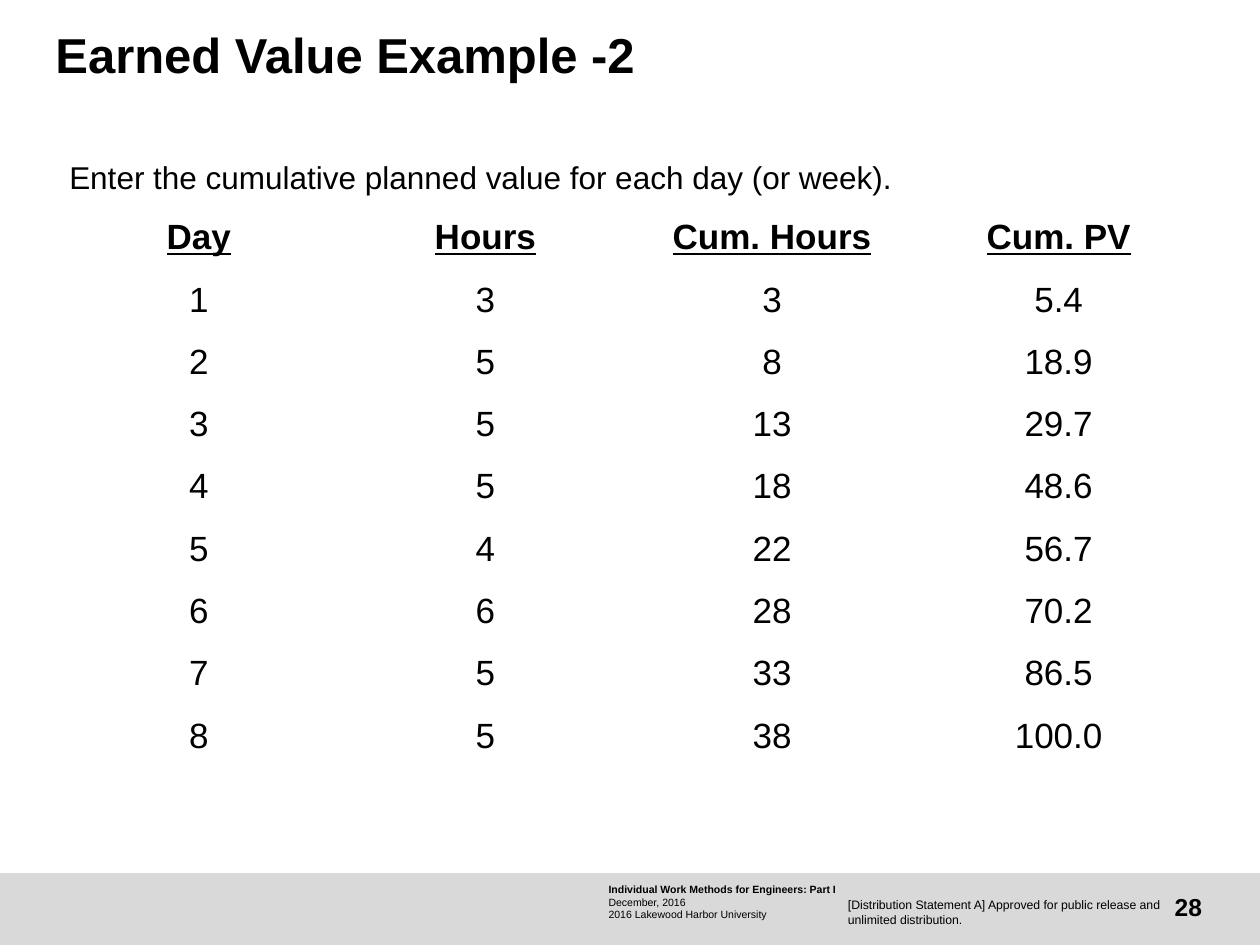
from pptx import Presentation
from pptx.dml.color import RGBColor
from pptx.enum import shapes, text
from pptx.util import Inches, Pt

# Content
TITLE = "Earned Value Example -2"
PROMPT = "Enter the cumulative planned value for each day (or week)."
HEADINGS = ("Day", "Hours", "Cum. Hours", "Cum. PV")
PLAN = [
    (1, 3, 3, "5.4"),
    (2, 5, 8, "18.9"),
    (3, 5, 13, "29.7"),
    (4, 5, 18, "48.6"),
    (5, 4, 22, "56.7"),
    (6, 6, 28, "70.2"),
    (7, 5, 33, "86.5"),
    (8, 5, 38, "100.0"),
]
COURSE = ("Individual Work Methods for Engineers: Part I",
          "December, 2016", "2016 Lakewood Harbor University")
STATEMENT = ("[Distribution Statement A] Approved for public release and "
             "unlimited distribution.")
PAGE_NUMBER = "28"

INK, BAND = "000000", "D9D9D9"
FONT = "Arial"
TABLE_LEFT, TABLE_TOP, TABLE_WIDTH, TABLE_HEIGHT = 0.44, 1.64, 9.1, 4.45


def color(code):
    return RGBColor.from_string(code)


def style(para, size, bold=False, underline=False, align=None, spacing=None):
    para.alignment = align
    para.line_spacing = spacing
    for span in para.runs:
        span.font.name = FONT
        span.font.size = Pt(size)
        span.font.bold = bold
        span.font.underline = underline
        span.font.color.rgb = color(INK)


def set_frame(frame, content, insets=(0, 0, 0, 0), anchor=text.MSO_ANCHOR.TOP):
    frame.word_wrap = True
    frame.auto_size = text.MSO_AUTO_SIZE.NONE
    frame.vertical_anchor = anchor
    (frame.margin_left, frame.margin_top,
     frame.margin_right, frame.margin_bottom) = map(Inches, insets)
    frame.text = content
    return frame.paragraphs


def add_text(page, place, content, **layout):
    box = page.shapes.add_textbox(*map(Inches, place))
    return set_frame(box.text_frame, content, **layout)


deck = Presentation()
deck.slide_width, deck.slide_height = Inches(10), Inches(7.5)
page = deck.slides.add_slide(deck.slide_layouts[5])

# Footer
band = page.shapes.add_shape(shapes.MSO_SHAPE.RECTANGLE,
                             *map(Inches, (0, 6.93, 10, 0.57)))
band.shadow.inherit = False
band.fill.solid()
band.fill.fore_color.rgb = color(BAND)
band.line.fill.background()

course = add_text(page, (4.83, 7.01, 2.21, 0.3), "\n".join(COURSE),
                  insets=(0, 0, 0.05, 0))
for index, para in enumerate(course):
    style(para, 6, bold=index == 0)

number = add_text(page, (8.98, 7, 0.56, 0.4), PAGE_NUMBER,
                  anchor=text.MSO_ANCHOR.MIDDLE)
style(number[0], 14, bold=True, align=text.PP_ALIGN.RIGHT)

statement = add_text(page, (6.73, 7.12, 2.54, 0.24), STATEMENT)
style(statement[0], 7)

# Title and prompt
title = page.shapes.title
title.left, title.top, title.width, title.height = map(
    Inches, (0.44, 0.25, 8.31, 0.73))
heading = set_frame(title.text_frame, TITLE)
style(heading[0], 28, bold=True, align=text.PP_ALIGN.LEFT, spacing=0.9)

prompt = add_text(page, (0.29, 1.23, 8.27, 0.58), PROMPT,
                  insets=(0.26, 0.06, 0.12, 0.06))
style(prompt[0], 18, spacing=0.9)

# Planned value table
rows = [HEADINGS, *PLAN]
table = page.shapes.add_table(
    len(rows), len(HEADINGS),
    *map(Inches, (TABLE_LEFT, TABLE_TOP, TABLE_WIDTH, TABLE_HEIGHT))).table
table.first_row = table.horz_banding = False
for column in table.columns:
    column.width = Inches(TABLE_WIDTH / len(HEADINGS))
for row_index, values in enumerate(rows):
    table.rows[row_index].height = Inches(TABLE_HEIGHT / len(rows))
    is_heading = row_index == 0
    for cell, value in zip(table.rows[row_index].cells, values):
        cell.fill.background()
        cell.vertical_anchor = text.MSO_ANCHOR.MIDDLE
        cell.margin_left = cell.margin_right = 0
        cell.margin_top = cell.margin_bottom = 0
        cell.text_frame.text = str(value)
        style(cell.text_frame.paragraphs[0], 20, bold=is_heading,
              underline=is_heading, align=text.PP_ALIGN.CENTER)

deck.save("out.pptx")
